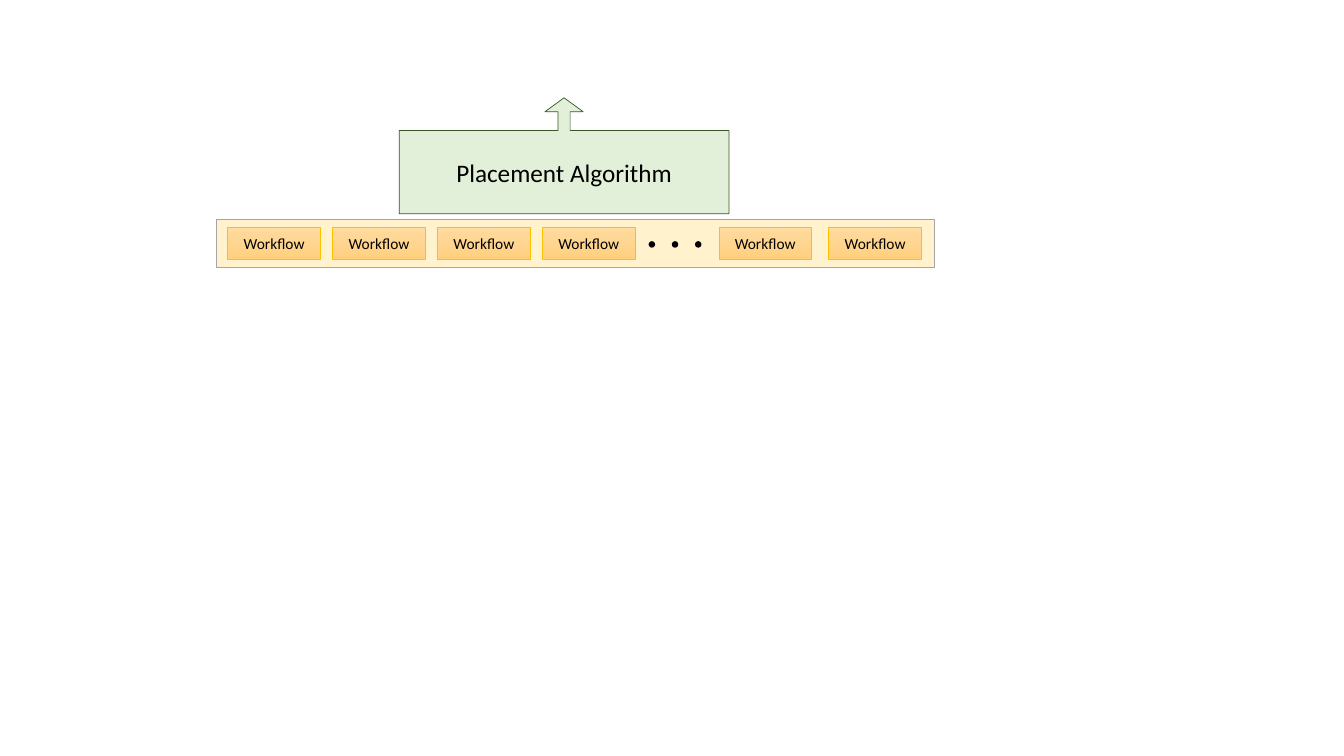
"""Builds a slide of a workflow queue feeding a placement algorithm."""
from copy import deepcopy
from dataclasses import dataclass

from pptx import Presentation
from pptx.dml.color import RGBColor
from pptx.enum.shapes import MSO_SHAPE
from pptx.enum.text import MSO_ANCHOR, PP_ALIGN
from pptx.oxml.ns import qn
from pptx.util import Inches, Pt

RECTANGLE = MSO_SHAPE.RECTANGLE
DOT = MSO_SHAPE.FLOWCHART_CONNECTOR
CALLOUT = MSO_SHAPE.UP_ARROW_CALLOUT
MIDDLE = MSO_ANCHOR.MIDDLE
CENTER = PP_ALIGN.CENTER


@dataclass(frozen=True)
class Theme:
    """Colours, font and sizes of the slide."""
    font: str = "Calibri"
    ink: str = "000000"
    queue_fill: str = "FFF2CC"
    queue_line: str = "A5A5A5"
    workflow_fill: tuple = ("FFDB9E", "FFD590", "FFD07C")
    workflow_line: str = "FFC000"
    algorithm_fill: str = "E2F0D9"
    algorithm_line: str = "385723"
    workflow_size: int = 11
    algorithm_size: int = 18
    thin: float = 0.5
    thick: float = 1


THEME = Theme()


def add_block(slide, kind, box, fill, line, weight=THEME.thin):
    """Add a preset shape with a solid fill and an outline."""
    block = slide.shapes.add_shape(kind, *map(Inches, box))
    block.shadow.inherit = False
    block.fill.solid()
    block.fill.fore_color.rgb = RGBColor.from_string(fill)
    block.line.color.rgb = RGBColor.from_string(line)
    block.line.width = Pt(weight)
    return block


def add_label(block, text, size):
    """Write a centred label in a block."""
    frame = block.text_frame
    frame.word_wrap = True
    frame.vertical_anchor = MIDDLE
    label = frame.paragraphs[0]
    label.text = text
    label.alignment = CENTER
    font = label.runs[0].font
    font.name = THEME.font
    font.size = Pt(size)
    font.color.rgb = RGBColor.from_string(THEME.ink)


def shade_downwards(block, colors):
    """Fill a block with evenly spaced colours from top to bottom."""
    block.fill.gradient()
    block.fill.gradient_angle = 270
    stop_list = next(block._element.iter(qn("a:gsLst")))
    for _ in colors[2:]:
        stop_list.append(deepcopy(stop_list[0]))
    for index, (stop, color) in enumerate(zip(block.fill.gradient_stops, colors)):
        stop.position = index / (len(colors) - 1)
        stop.color.rgb = RGBColor.from_string(color)


def add_workflow(slide, left):
    """Add one workflow tile to the queue."""
    workflow = add_block(slide, RECTANGLE, (left, 2.26, 0.92, 0.31),
                         THEME.workflow_fill[0], THEME.workflow_line)
    shade_downwards(workflow, THEME.workflow_fill)
    add_label(workflow, "Workflow", THEME.workflow_size)


def add_queue(slide):
    """Add the queue with its first and last workflows and the dots between."""
    add_block(slide, RECTANGLE, (2.15, 2.18, 7.12, 0.47),
              THEME.queue_fill, THEME.queue_line)
    for start, pitch, count in ((2.26, 1.04, 4), (7.13, 1.09, 2)):
        for index in range(count):
            add_workflow(slide, start + index * pitch)
    for index in range(3):
        add_block(slide, DOT, (6.44 + index * 0.23, 2.4, 0.05, 0.05),
                  THEME.ink, THEME.ink, THEME.thick)


def add_algorithm(slide):
    """Add the placement algorithm with its arrow upwards."""
    algorithm = add_block(slide, CALLOUT, (3.96, 0.97, 3.27, 1.15),
                          THEME.algorithm_fill, THEME.algorithm_line)
    for index, ratio in enumerate((0.105, 0.164, 0.12, 0.718)):
        algorithm.adjustments[index] = ratio
    add_label(algorithm, "Placement Algorithm", THEME.algorithm_size)


def main():
    """Build and save the slide."""
    deck = Presentation()
    deck.slide_width = Inches(13.33)
    deck.slide_height = Inches(7.5)
    slide = deck.slides.add_slide(deck.slide_layouts[6])
    add_queue(slide)
    add_algorithm(slide)
    deck.save("out.pptx")


if __name__ == "__main__":
    main()
